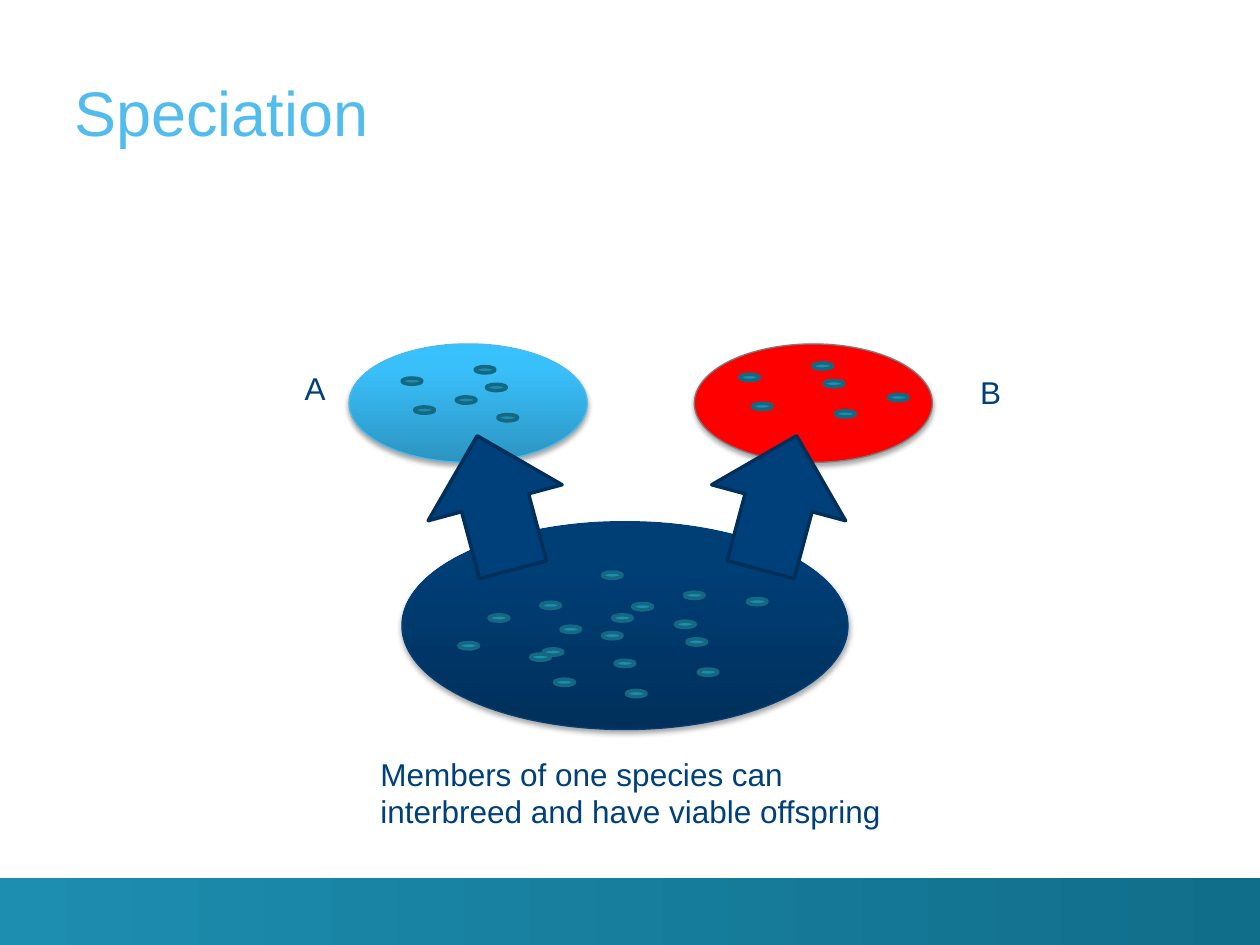
from lxml.etree import SubElement
from pptx import Presentation
from pptx.dml.color import RGBColor
from pptx.enum.shapes import MSO_SHAPE as Preset
from pptx.enum.text import MSO_ANCHOR as Anchor
from pptx.oxml.ns import qn
from pptx.util import Inches, Pt

NAVY, TEAL = "00407A", "1D8DB0"
DOT_SIZE = (0.16, 0.05)

# Each dot is (left, top) in inches from the corner of its population.
PARENT_DOTS = [
    (1.26, 0.83), (1.02, 1.05), (1.67, 0.74), (1.69, 1.10), (1.78, 1.34), (2.17, 0.79),
    (1.83, 0.65), (1.59, 0.88), (2.24, 0.56), (2.26, 0.93), (2.35, 1.17), (2.74, 0.61),
    (0.69, 0.74), (0.45, 0.96), (1.10, 0.64), (1.12, 1.01), (1.21, 1.25), (1.59, 0.40),
]
A_DOTS = [(0.52, 0.50), (0.85, 0.42), (1.00, 0.18), (0.42, 0.27), (1.09, 0.32), (1.18, 0.56)]
B_DOTS = [(0.46, 0.47), (1.54, 0.40), (0.94, 0.15), (0.36, 0.24), (1.03, 0.29), (1.12, 0.53)]

POPULATIONS = [
    {"box": (5.51, 2.73, 1.89, 0.94), "fill": "FF0000", "line": "7C7C7C", "dots": B_DOTS},
    {"box": (2.77, 2.73, 1.89, 0.94), "line": "4CBAEB", "dots": A_DOTS,
     "fill": [(0, "2C94C1"), (80, "39C0FB"), (100, "37C2FF")]},
    {"box": (3.19, 4.14, 3.54, 1.65), "line": "003F77", "dots": PARENT_DOTS,
     "fill": [(0, "00305B"), (80, "003E76"), (100, "003E77")]},
]
ARROWS = [((5.63, 3.44, 1.1, 1.1), 15), ((3.38, 3.44, 1.1, 1.1), 345)]
LABELS = [
    ((2.32, 2.88, 0.35, 0.4), ["A"]),
    ((7.68, 2.91, 0.35, 0.4), ["B"]),
    ((2.92, 5.94, 4.35, 0.71),
     ["Members of one species can", "interbreed and have viable offspring"]),
]


def rgb(value):
    return RGBColor.from_string(value)


def place(box):
    return [Inches(length) for length in box]


def add_color(parent, value):
    color = SubElement(parent, qn("a:srgbClr"))
    color.set("val", value)
    return color


def set_gradient(shape, stops, angle):
    """Fill with (percent, colour) stops; the angle runs counter-clockwise."""
    shape.fill.gradient()
    shape.fill.gradient_angle = angle
    stop_list = shape.fill._fill._gradFill.find(qn("a:gsLst"))
    for old_stop in list(stop_list):
        stop_list.remove(old_stop)
    for percent, value in stops:
        stop = SubElement(stop_list, qn("a:gs"))
        stop.set("pos", str(percent * 1000))
        add_color(stop, value)


def add_shadow(shape):
    effects = shape._element.spPr.find(qn("a:effectLst"))
    shadow = SubElement(effects, qn("a:outerShdw"))
    values = {"blurRad": Pt(3.1), "dist": Pt(1.8), "dir": 90 * 60000, "rotWithShape": 0}
    for name, value in values.items():
        shadow.set(name, str(int(value)))
    SubElement(add_color(shadow, "000000"), qn("a:alpha")).set("val", "35000")


def add_figure(page, preset, box, fill, line=None, width=2, angle=90):
    shape = page.shapes.add_shape(preset, *place(box))
    shape.shadow.inherit = False
    if isinstance(fill, str):
        shape.fill.solid()
        shape.fill.fore_color.rgb = rgb(fill)
    else:
        set_gradient(shape, fill, angle)
    if line:
        shape.line.color.rgb = rgb(line)
        shape.line.width = Pt(width)
    else:
        shape.line.fill.background()
    return shape


def add_text(page, box, lines, size, color, frame_format):
    frame = page.shapes.add_textbox(*place(box)).text_frame
    for name, value in frame_format.items():
        setattr(frame, name, value)
    for index, line in enumerate(lines):
        para = frame.paragraphs[0] if index == 0 else frame.add_paragraph()
        span = para.add_run()
        span.text = line
        for name, value in {"name": "Arial", "size": Pt(size)}.items():
            setattr(span.font, name, value)
        span.font.color.rgb = rgb(color)


def add_title(page, box):
    frame_format = {"word_wrap": True, "vertical_anchor": Anchor.BOTTOM}
    margins = ("margin_left", "margin_top", "margin_right", "margin_bottom")
    frame_format.update(dict.fromkeys(margins, 0))
    add_text(page, box, ["Speciation"], 36, "52BDEC", frame_format)


def add_population(page, box, fill, line, dots):
    """Draw a shaded ellipse with its members as dots inside."""
    add_shadow(add_figure(page, Preset.OVAL, box, fill, line, 0.75))
    left, top = box[:2]
    for across, down in dots:
        dot_box = (left + across, top + down, *DOT_SIZE)
        add_figure(page, Preset.OVAL, dot_box, TEAL, "156882")


def add_arrow(page, box, rotation):
    arrow = add_figure(page, Preset.UP_ARROW, box, NAVY, "002F5A")
    arrow.rotation = rotation


def main():
    deck = Presentation()
    deck.slide_width, deck.slide_height = Inches(10), Inches(7.5)
    page = deck.slides.add_slide(deck.slide_layouts[6])
    add_figure(page, Preset.RECTANGLE, (0, 6.97, 10, 0.53),
               [(0, TEAL), (100, "116E8A")], angle=0)
    add_title(page, (0.59, 0.2, 9.11, 0.98))
    for population in POPULATIONS:
        add_population(page, **population)
    for box, rotation in ARROWS:
        add_arrow(page, box, rotation)
    for box, lines in LABELS:
        add_text(page, box, lines, 18, NAVY, {"word_wrap": False})
    deck.save("out.pptx")


if __name__ == "__main__":
    main()
